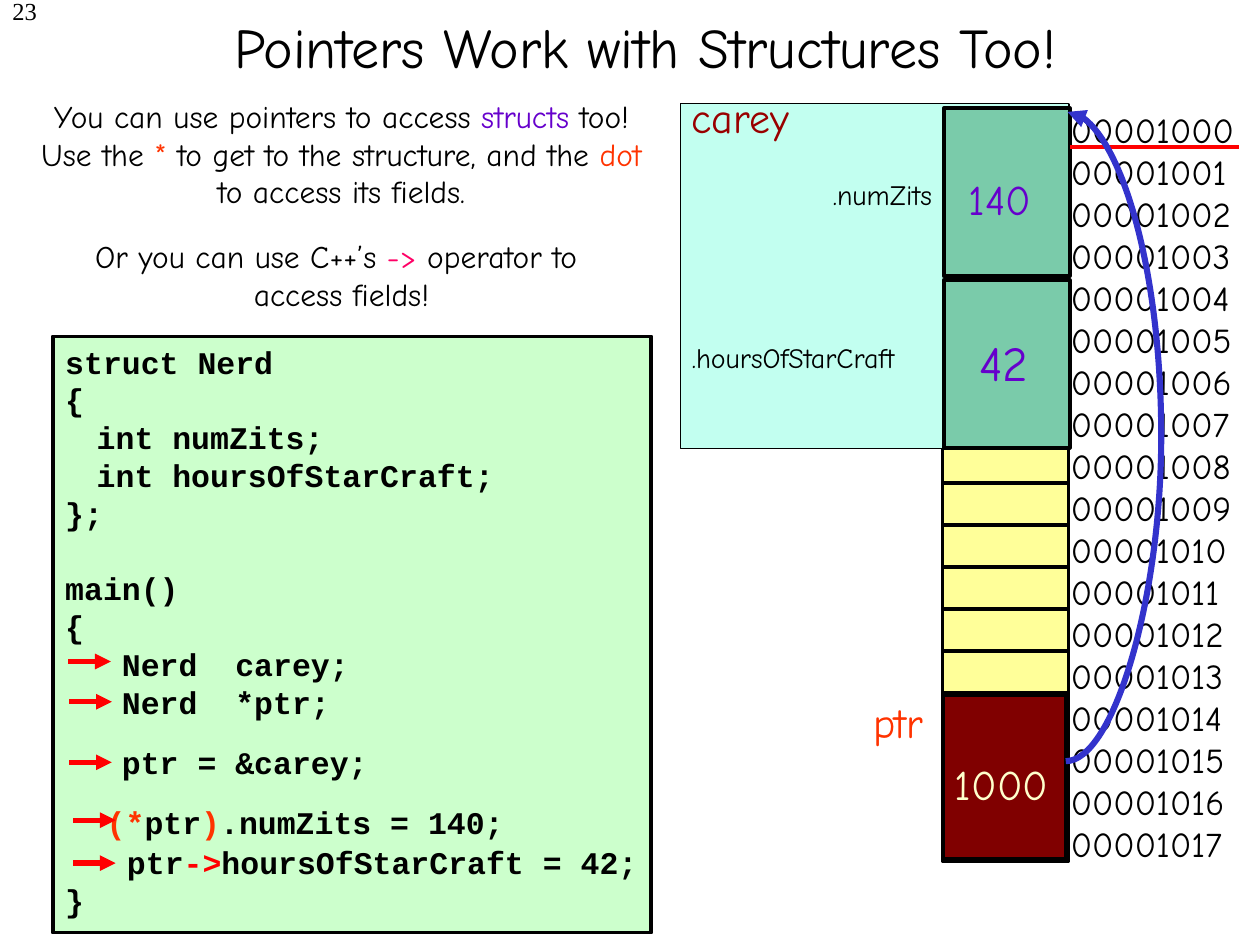
import pptx
import pptx.util
import pptx.dml.color
import pptx.enum.shapes
import pptx.enum.text
import pptx.oxml
import pptx.oxml.ns
import lxml.etree

Pt = pptx.util.Pt
qn = pptx.oxml.ns.qn
CENTER = pptx.enum.text.PP_ALIGN.CENTER
RECTANGLE = pptx.enum.shapes.MSO_SHAPE.RECTANGLE
CONNECTOR = pptx.enum.shapes.MSO_CONNECTOR
rgb = pptx.dml.color.RGBColor.from_string
COMIC, COURIER = "Comic Neue", "Courier New"

presentation = pptx.Presentation()
presentation.slide_width, presentation.slide_height = Pt(720), Pt(540)
slide = presentation.slides.add_slide(presentation.slide_layouts[6])
shapes = slide.shapes


def write(shape, lines, size, font=COMIC, color="000000", bold=False, align=None):
    """Fill a shape with lines, each a list of (text, colour) runs; None keeps the base colour."""
    frame = shape.text_frame
    frame.word_wrap = True
    frame.vertical_anchor = pptx.enum.text.MSO_ANCHOR.TOP
    for index, runs in enumerate(lines):
        paragraph = frame.add_paragraph() if index else frame.paragraphs[0]
        paragraph.alignment = align or pptx.enum.text.PP_ALIGN.LEFT
        paragraph.line_spacing = Pt(1.2 * size)
        if font == COURIER:
            tabs = lxml.etree.SubElement(paragraph._p.get_or_add_pPr(), qn("a:tabLst"))
            lxml.etree.SubElement(tabs, qn("a:tab"), pos=str(Pt(18)), algn="l")
        paragraph.font.size, paragraph.font.name = Pt(size), font
        paragraph.font.bold = bold
        paragraph.font.color.rgb = rgb(color)
        for text, run_color in runs:
            if text == "\n":
                paragraph.add_line_break()
                continue
            run = paragraph.add_run()
            run.text = text
            if run_color:
                run.font.color.rgb = rgb(run_color)


def add_box(left, top, width, height, fill, line_width=2.25):
    box = shapes.add_shape(RECTANGLE, Pt(left), Pt(top), Pt(width), Pt(height))
    box.shadow.inherit = False
    box.fill.solid()
    box.fill.fore_color.rgb = rgb(fill)
    box.line.color.rgb = rgb("000000")
    box.line.width = Pt(line_width)
    return box


# Title and page number
page_number = shapes.add_textbox(Pt(0), Pt(-6), Pt(40), Pt(28))
write(page_number, [[("23", None)]], 14, font="Times New Roman")
title = shapes.add_textbox(Pt(18), Pt(0), Pt(702), Pt(52.6))
write(title, [[("Pointers Work with Structures Too!", None)]], 32, align=CENTER)
title.text_frame.vertical_anchor = pptx.enum.text.MSO_ANCHOR.MIDDLE

# Code listing
code = add_box(30.2, 192.3, 342, 340.6, "CCFFCC")
orange = "FF3300"
code_lines = [
    "struct Nerd", "{", "\tint numZits;", "\tint hoursOfStarCraft;", "};",
    "main()", "{", "   Nerd  carey;", "   Nerd  *ptr;", "   ptr = &carey;",
]
code_runs = [[(line, None)] for line in code_lines]
code_runs.append([("(*", orange), ("ptr", None), (")", orange), (".numZits = 140;", None)])
code_runs.append([("}", None)])
write(code, code_runs, 18, font=COURIER, bold=True)
paragraphs = code.text_frame.paragraphs
for index, gap in ((5, 21.6), (9, 12.8), (10, 12.8), (11, 22.8)):
    paragraphs[index].space_before = Pt(gap)
paragraphs[10]._p.get_or_add_pPr().set("marL", str(Pt(23.7)))

# Memory cells and their addresses
CELL_TOP, CELL_HEIGHT, CELL_COUNT = 60, 24, 18
for row in range(CELL_COUNT):
    add_box(538.6, CELL_TOP + row * CELL_HEIGHT, 72, CELL_HEIGHT, "FFFF99")
addresses = shapes.add_textbox(Pt(604.8), Pt(58.3), Pt(112), Pt(439.2))
write(addresses, [[(f"0000{1000 + row}", None)] for row in range(CELL_COUNT)], 20)

# The structure, its two fields, and the pointer variable
add_box(388.8, 59, 221.8, 197.3, "C2FFF0", 0.75)
for top in (62, 160):
    field = add_box(539.3, top, 72, 95.8, "339966")
    fill_color = field.fill._xPr.find(".//" + qn("a:srgbClr"))
    lxml.etree.SubElement(fill_color, qn("a:alpha"), val="50000")
add_box(538.6, 397.4, 70.6, 93.6, "800000")

labels = [
    ("carey", 388.1, 49, 24, "990000"),
    (".numZits", 468.8, 97.9, 16, "000000"),
    (".hoursOfStarCraft", 388.2, 190.8, 16, "000000"),
    ("140", 546.5, 95.8, 24, "6600CC"),
    ("42", 552.5, 186.5, 28, "6600CC"),
    ("1000", 538.6, 429.8, 24, "FFFFCC"),
    ("ptr", 491.8, 394.6, 24, "FF3300"),
]
for text, left, top, size, color in labels:
    width = 20 + 0.62 * size * len(text)
    label = shapes.add_textbox(Pt(left), Pt(top), Pt(width), Pt(1.2 * size + 7.2))
    write(label, [[(text, None)]], size, color=color)

# Explanations and the last statement
arrow_note = shapes.add_textbox(Pt(12.2), Pt(131.8), Pt(365.8), Pt(51))
write(arrow_note, [[
    ("Or you can use C++’s ", None), ("-> ", "FF0066"), ("operator to ", None),
    ("\n", None), ("access fields!", None),
]], 18, align=CENTER)
arrow_statement = shapes.add_textbox(Pt(54.7), Pt(478), Pt(360), Pt(28.8))
write(arrow_statement, [[
    (" ptr", None), ("->", "FF0000"), ("hoursOfStarCraft = 42;", None),
]], 18, font=COURIER, bold=True)
star_note = shapes.add_textbox(Pt(15.1), Pt(51.8), Pt(360), Pt(72.7))
write(star_note, [[
    ("You can use pointers to access ", None), ("structs ", "6600CC"),
    ("too! Use the ", None), ("*", orange),
    (" to get to the structure, and the ", None), ("dot", orange),
    (" to access its fields.", None),
]], 18, align=CENTER)

# Statement arrows, address underline, and the curve from pointer to structure
statement_arrows = [(39, 378), (39.6, 401), (39.6, 435.6), (41.8, 468.7), (41.8, 493.2)]
lines = [(CONNECTOR.STRAIGHT, x, y, x + 24.3, y, "FF0000", 3, True) for x, y in statement_arrows]
lines.append((CONNECTOR.STRAIGHT, 707.8, 84, 611.3, 84, "FF0000", 2.25, False))
lines.append((CONNECTOR.CURVE, 609, 435, 610, 64, "3333CC", 3.5, True))
for kind, start_x, start_y, end_x, end_y, color, width, has_head in lines:
    connector = shapes.add_connector(kind, Pt(start_x), Pt(start_y), Pt(end_x), Pt(end_y))
    connector.line.color.rgb = rgb(color)
    connector.line.width = Pt(width)
    properties = connector._element.spPr
    if has_head:
        lxml.etree.SubElement(properties.find(qn("a:ln")), qn("a:tailEnd"), type="triangle")
    lxml.etree.SubElement(properties, qn("a:effectLst"))
    if kind == CONNECTOR.CURVE:
        adjustments = properties.find(qn("a:prstGeom")).find(qn("a:avLst"))
        # The bend lies 55 times the connector's 1 pt width to the right
        lxml.etree.SubElement(adjustments, qn("a:gd"), name="adj1", fmla="val 5500000")

presentation.save("out.pptx")
